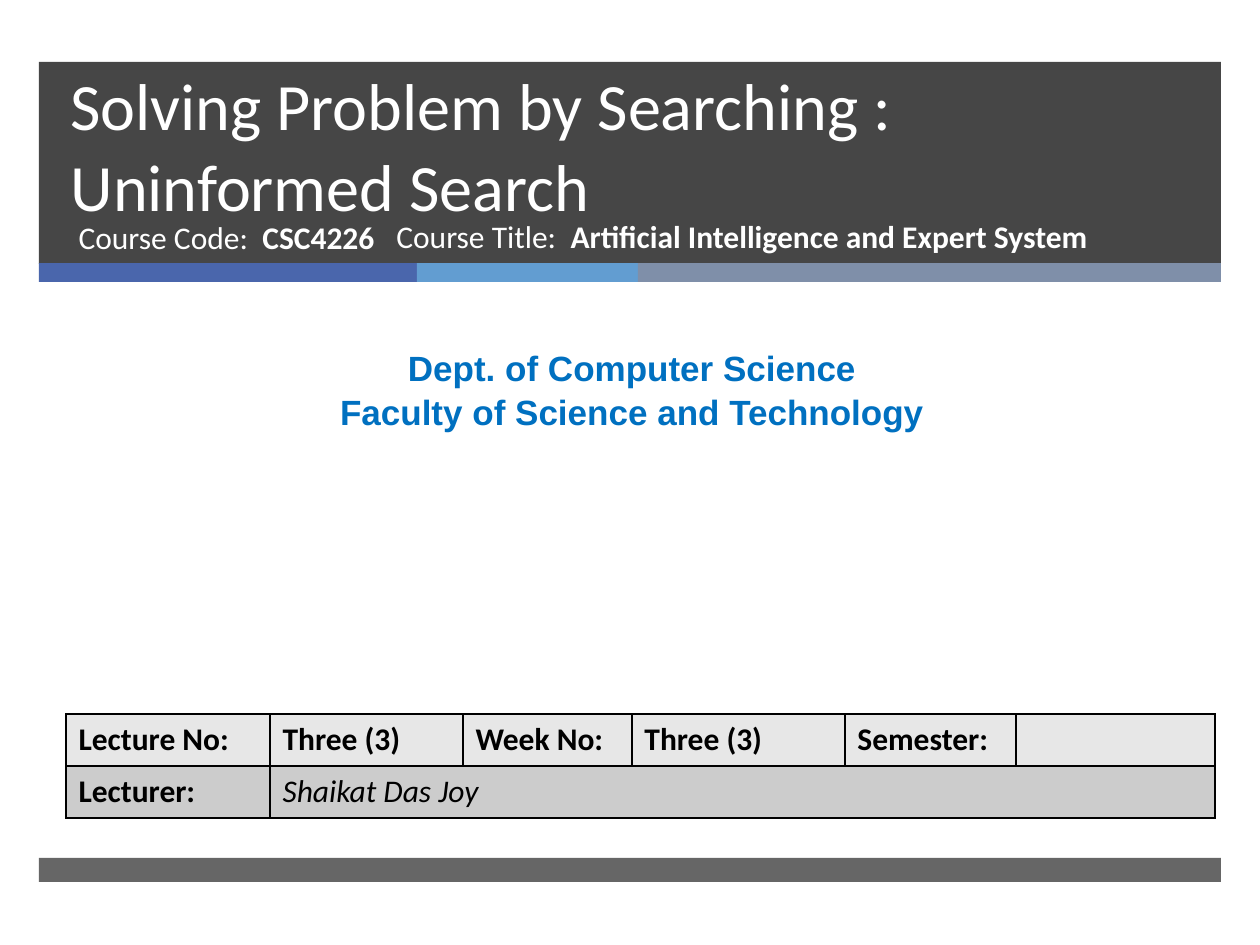
from lxml.etree import SubElement
from pptx import Presentation
from pptx.dml.color import RGBColor
from pptx.enum.shapes import MSO_SHAPE
from pptx.enum.text import MSO_ANCHOR, MSO_AUTO_SIZE, PP_ALIGN
from pptx.oxml import parse_xml
from pptx.oxml.ns import qn
from pptx.util import Pt

PX = 914400 / 126
EDGE = ('<a:{} xmlns:a="http://schemas.openxmlformats.org/drawingml/2006/main" w="12700">'
        '<a:solidFill><a:srgbClr val="000000"/></a:solidFill></a:{}>')


def px(*nums):
    """Turn pixel lengths into EMU."""
    return [round(n * PX) for n in nums]


def paint(fmt, color):
    """Give a fill or font a hex colour."""
    fmt.rgb = RGBColor.from_string(color)


def place(shape, box):
    """Move and size a shape."""
    shape.left, shape.top, shape.width, shape.height = px(*box)


def style(run, size, color, bold=False, italic=False, face="Calibri"):
    """Format one run."""
    font = run.font
    font.name, font.size, font.bold, font.italic = face, Pt(size), bold, italic
    paint(font.color, color)


def bar(slide, box, color, alpha=100):
    """Draw a plain band, see-through if alpha is below 100."""
    shape = slide.shapes.add_shape(MSO_SHAPE.RECTANGLE, *px(*box))
    shape.shadow.inherit = False
    shape.line.fill.background()
    shape.fill.solid()
    paint(shape.fill.fore_color, color)
    if alpha < 100:
        tint = shape._element.spPr.find(qn("a:solidFill"))[0]
        SubElement(tint, qn("a:alpha")).set("val", str(alpha * 1000))


def title(slide, box, text):
    """Fill the title placeholder."""
    shape = slide.shapes.title
    place(shape, box)
    frame = shape.text_frame
    frame.text = text
    frame.auto_size = MSO_AUTO_SIZE.NONE
    frame.vertical_anchor = MSO_ANCHOR.BOTTOM
    para = frame.paragraphs[0]
    para.alignment = PP_ALIGN.LEFT
    para.line_spacing = Pt(46)
    for run in para.runs:
        style(run, 37.8, "FFFFFF")


def label(shape, box, name, value):
    """Write a course label with its value in bold."""
    place(shape, box)
    frame = shape.text_frame
    frame.word_wrap = True
    frame.auto_size = MSO_AUTO_SIZE.NONE
    para = frame.paragraphs[0]
    para.alignment = PP_ALIGN.LEFT
    para.space_before = Pt(0)
    for text, bold in ((name, False), (value, True)):
        run = para.add_run()
        run.text = text
        style(run, 18, "FFFFFF", bold)


def dept(slide, box, text):
    """Write the centred department lines."""
    frame = slide.shapes.add_textbox(*px(*box)).text_frame
    frame.word_wrap = True
    frame.text = text
    for para in frame.paragraphs:
        para.alignment = PP_ALIGN.CENTER
        para.line_spacing = 1.05
        style(para.runs[0], 20, "0070C0", True, face="Arial")


def fill(cell, text, color, italic):
    """Border, fill and write one cell."""
    props = cell._tc.get_or_add_tcPr()
    for side in ("lnL", "lnR", "lnT", "lnB"):
        props.append(parse_xml(EDGE.format(side, side)))
    cell.fill.solid()
    paint(cell.fill.fore_color, color)
    cell.text = text
    for run in cell.text_frame.paragraphs[0].runs:
        style(run, 18, "000000", not italic, italic)


def grid(slide, box, widths, rows, colors):
    """Build the lecture table with a merged last row."""
    table = slide.shapes.add_table(len(rows), len(widths), *px(*box)).table
    for col, width in zip(table.columns, px(*widths)):
        col.width = width
    for r, (row, color) in enumerate(zip(rows, colors)):
        for c in range(len(widths)):
            text = row[c] if c < len(row) else ""
            fill(table.cell(r, c), text, color, (r, c) == (1, 1))
    table.cell(1, 1).merge(table.cell(1, len(widths) - 1))


def main():
    """Build and save the slide."""
    deck = Presentation()
    deck.slide_width, deck.slide_height = px(1260, 945)
    slide = deck.slides.add_slide(deck.slide_layouts[0])
    bar(slide, (39, 62, 1182, 202), "262626", 85)
    left = 39
    for width, color in ((378, "4A66AC"), (221, "629DD1"), (583, "7F8FA9")):
        bar(slide, (left, 263, width, 19), color)
        left += width
    bar(slide, (39, 858, 1182, 24), "262626", 70)
    tree = slide.shapes._spTree
    for holder in list(slide.placeholders):
        tree.append(holder._element)
    title(slide, (58, 81, 1076, 150),
          "Solving Problem by Searching :\vUninformed Search")
    label(slide.placeholders[1], (66, 212, 384, 67), "Course Code:  ", "CSC4226")
    dept(slide, (10, 338, 1244, 97),
         "Dept. of Computer Science\nFaculty of Science and Technology")
    grid(slide, (66, 714, 1149, 104), (204, 193, 169, 213, 171, 199),
         (("Lecture No:", "Three (3)", "Week No:", "Three (3)", "Semester:"),
          ("Lecturer:", "Shaikat Das Joy")), ("E7E7E7", "CCCCCC"))
    box = (384, 211, 721, 67)
    label(slide.shapes.add_textbox(*px(*box)), box, "Course Title:  ",
          "Artificial Intelligence and Expert System")
    deck.save("out.pptx")


if __name__ == "__main__":
    main()
